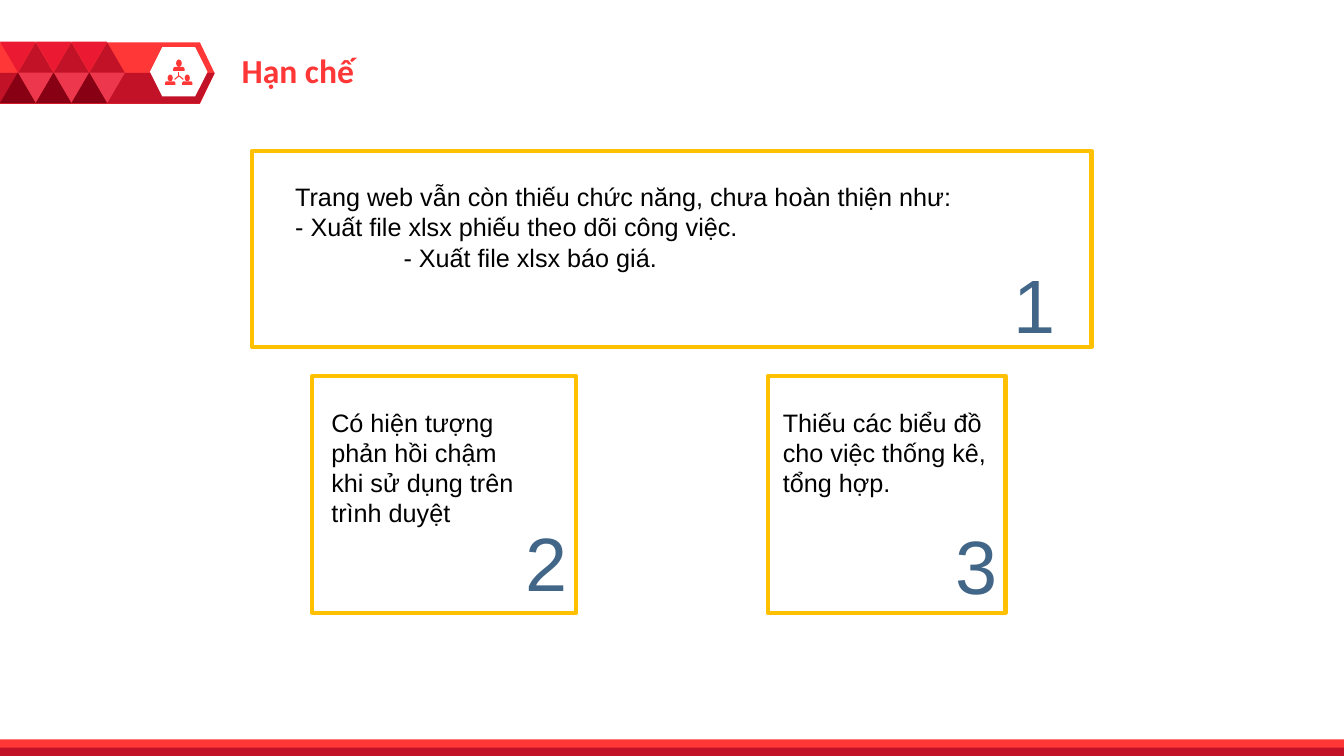
from lxml import etree
from pptx import Presentation
from pptx.dml.color import RGBColor
from pptx.enum import shapes, text
from pptx.oxml.ns import qn
from pptx.util import Cm, Pt

RED = RGBColor(0xFF, 0x37, 0x37)
CRIMSON = RGBColor(0xC2, 0x12, 0x27)
SCARLET = RGBColor(0xEB, 0x19, 0x32)
ROSE = RGBColor(0xED, 0x37, 0x4D)
MAROON = RGBColor(0x88, 0x00, 0x14)
WHITE = RGBColor(0xFF, 0xFF, 0xFF)
BLACK = RGBColor(0x00, 0x00, 0x00)
GOLD = RGBColor(0xFF, 0xC0, 0x00)
BLUE = RGBColor(0x42, 0x66, 0x87)

SLIDE_W, SLIDE_H = 33.87, 19.05
TITLE = "Hạn chế"

# All places are (left, top, width, height) in centimetres.
# Each paragraph of a card is (wording, left indent).
CARDS = [
    {"number": "1", "frame": (6.35, 3.81, 21.16, 4.93),
     "body": (7.19, 4.45, 17.58, 2.11), "digit": (22.68, 6.38),
     "paras": [("Trang web vẫn còn thiếu chức năng, chưa hoàn thiện như:\v"
                "- Xuất file xlsx phiếu theo dõi công việc.", 0),
               ("- Xuất file xlsx báo giá.", 2.73)]},
    {"number": "2", "frame": (7.87, 9.47, 6.65, 5.97),
     "body": (8.1, 10.13, 5.59, 3.33), "digit": (10.39, 12.88),
     "paras": [("Có hiện tượng phản hồi chậm khi sử dụng trên trình duyệt", 0)]},
    {"number": "3", "frame": (19.35, 9.47, 5.99, 5.97),
     "body": (19.48, 10.13, 5.99, 2.57), "digit": (21.23, 12.95),
     "paras": [("Thiếu các biểu đồ cho việc thống kê, tổng hợp.", 0)]},
]
DIGIT_SIZE = (4.17, 2.57)

BAND = (0, 1.07, 5.41, 1.55)
BAND_SHADE = [(0, 1.84), (5.41, 1.84), (5.03, 2.61), (0, 2.61)]
BADGE = (3.78, 1.19, 1.45, 1.24)
TRIANGLE_W, TRIANGLE_H = 0.9, 0.77
TRIANGLE_COLUMNS = 3
# (offset in widths, top, rotation, colour)
TRIANGLES = [(0, 1.05, 180, SCARLET), (0.5, 1.07, 0, CRIMSON),
             (0.5, 1.83, 180, ROSE), (0, 1.83, 0, MAROON)]

# (centre, top, scale) of each figure in the badge
FIGURES = [(4.51, 1.5, 1.1), (4.29, 1.88, 1), (4.72, 1.88, 1)]
HUB = (4.51, 1.91)
SPOKE_ENDS = [(4.51, 1.81), (4.4, 2), (4.62, 2)]

FOOTER_BARS = [(0.42, RED), (0.21, CRIMSON)]

deck = Presentation()
deck.slide_width, deck.slide_height = Cm(SLIDE_W), Cm(SLIDE_H)
page = deck.slides.add_slide(deck.slide_layouts[6])


def lengths(values):
    return [Cm(value) for value in values]


def paint(shape, fill):
    shape.shadow.inherit = False
    shape.fill.solid()
    shape.fill.fore_color.rgb = fill
    shape.line.fill.background()
    return shape


def add_solid(kind, place, fill):
    return paint(page.shapes.add_shape(kind, *lengths(place)), fill)


def add_text(place, paras, font, size, colour, bold=False, align=None):
    """Add a text box from (wording, indent) pairs."""
    frame = page.shapes.add_textbox(*lengths(place)).text_frame
    frame.word_wrap = True
    for index, (wording, indent) in enumerate(paras):
        para = frame.add_paragraph() if index else frame.paragraphs[0]
        para.text = wording
        para.font.name, para.font.size = font, Pt(size)
        para.font.bold = bold
        para.font.color.rgb = colour
        if align is not None:
            para.alignment = align
        if indent:
            para._p.get_or_add_pPr().set("marL", str(Cm(indent)))


def add_band():
    kinds = shapes.MSO_SHAPE
    add_solid(kinds.PENTAGON, BAND, RED).adjustments[0] = 0.24
    corners = [lengths(corner) for corner in BAND_SHADE]
    outline = page.shapes.build_freeform(*corners[0])
    outline.add_line_segments(corners[1:], close=True)
    paint(outline.convert_to_shape(), CRIMSON)
    add_solid(kinds.HEXAGON, BADGE, WHITE).adjustments[0] = 0.25
    for column in range(TRIANGLE_COLUMNS):
        for offset, top, rotation, colour in TRIANGLES:
            place = ((column + offset) * TRIANGLE_W, top, TRIANGLE_W, TRIANGLE_H)
            add_solid(kinds.ISOSCELES_TRIANGLE, place, colour).rotation = rotation


def add_badge_icon():
    kinds = shapes.MSO_SHAPE
    for centre, top, scale in FIGURES:
        head_w, head_h, body_w, body_h = (scale * n for n in (0.13, 0.17, 0.26, 0.09))
        add_solid(kinds.OVAL, (centre - head_w / 2, top, head_w, head_h), RED)
        body = (centre - body_w / 2, top + head_h, body_w, body_h)
        add_solid(kinds.ROUND_2_SAME_RECTANGLE, body, RED).adjustments[0] = 0.5
    for end in SPOKE_ENDS:
        spoke = page.shapes.add_connector(
            shapes.MSO_CONNECTOR.STRAIGHT, *lengths(HUB + end))
        spoke.line.color.rgb = RED
        spoke.line.width = Pt(0.75)
        etree.SubElement(spoke._element.spPr, qn("a:effectLst"))


def add_card(card):
    border = page.shapes.add_shape(
        shapes.MSO_SHAPE.RECTANGLE, *lengths(card["frame"]))
    border.shadow.inherit = False
    border.fill.background()
    border.line.color.rgb = GOLD
    border.line.width = Pt(3)
    add_text(card["body"], card["paras"], "Arial", 18, BLACK)
    add_text(card["digit"] + DIGIT_SIZE, [(card["number"], 0)], "Arial", 54, BLUE,
             align=text.PP_ALIGN.RIGHT)


add_band()
add_badge_icon()
for height, colour in FOOTER_BARS:
    add_solid(shapes.MSO_SHAPE.RECTANGLE,
              (0, SLIDE_H - height, SLIDE_W, height), colour)
add_text((5.84, 1.14, 10.72, 1.27), [(TITLE, 0)], "Calibri", 24, RED, bold=True)
for card in CARDS:
    add_card(card)

deck.save("out.pptx")
